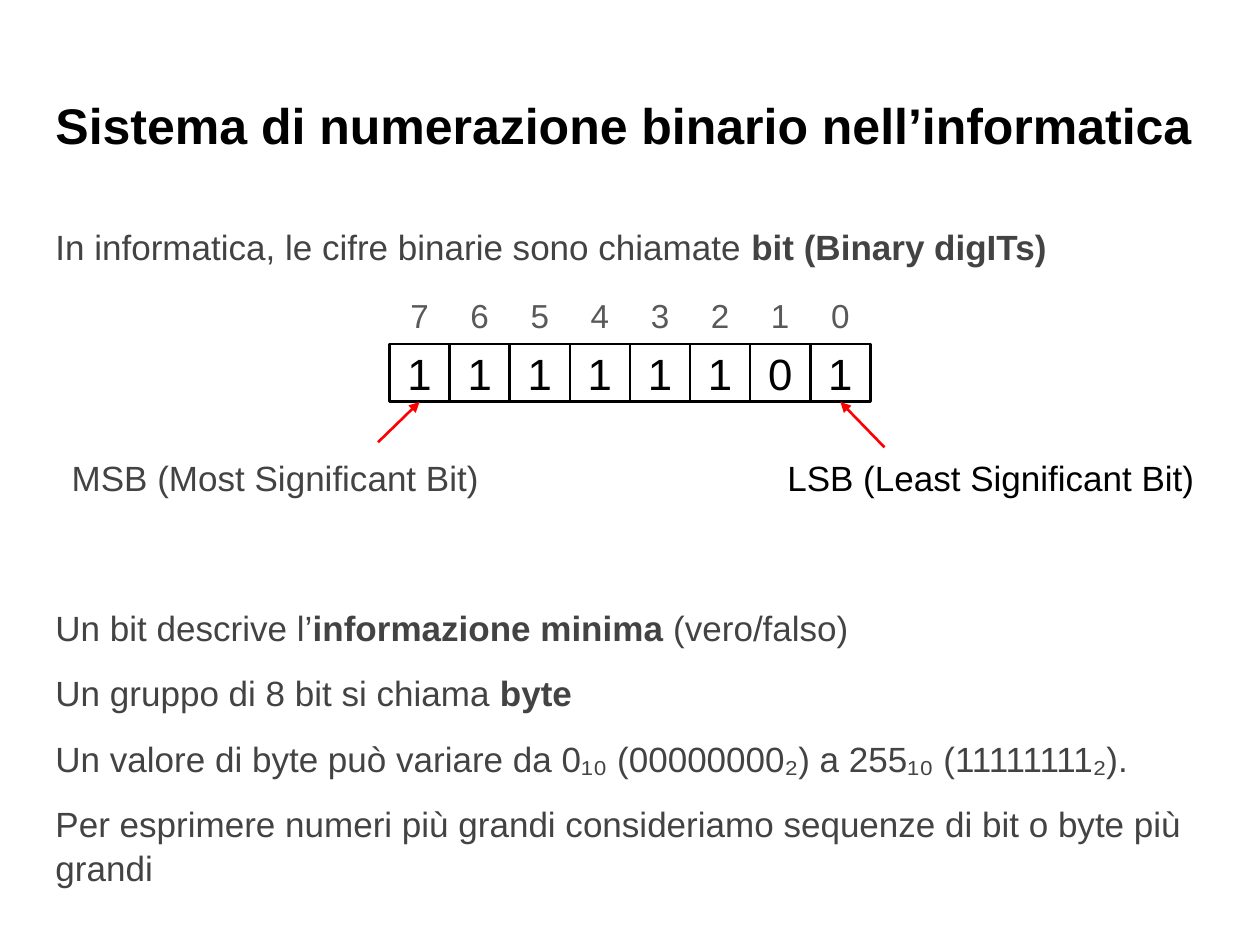
from lxml.etree import SubElement
from pptx import Presentation
from pptx.dml.color import RGBColor
from pptx.enum.shapes import MSO_CONNECTOR, MSO_SHAPE
from pptx.enum.text import MSO_ANCHOR, MSO_AUTO_SIZE, PP_ALIGN
from pptx.oxml.ns import qn
from pptx.util import Inches, Pt

# A paragraph is a list of (text, bold) spans.
TITLE = [[("Sistema di numerazione binario nell’informatica", True)]]
INTRO = [[("In informatica, le cifre binarie sono chiamate ", False),
          ("bit (Binary digITs)", True)]]
FACTS = [
    [("Un bit descrive l’", False), ("informazione minima", True), (" (vero/falso)", False)],
    [("Un gruppo di 8 bit si chiama ", False), ("byte", True)],
    [("Un valore di byte può variare da 0₁₀ (00000000₂) a 255₁₀ (11111111₂).", False)],
    [("Per esprimere numeri più grandi consideriamo sequenze di bit o byte più grandi", False)],
]
BITS = "11111101"
# label, left edge, colour, arrow start, arrow end
BIT_LABELS = [
    ("MSB (Most Significant Bit)", 0.41, "434343", (3, 3.51), (3.33, 3.19)),
    ("LSB (Least Significant Bit)", 6.09, "000000", (7.02, 3.55), (6.67, 3.19)),
]

MARGIN, TEXT_WIDTH = 0.34, 9.32
CELL_WIDTH, CELL_HEIGHT = 0.477, 0.46
INDEX_TOP, BIT_TOP = 2.27, 2.73
BLACK, DARK, GREY, RED = "000000", "434343", "595959", "FF0000"


def color(value):
    return RGBColor.from_string(value)


def place(shape, left, top, width, height):
    shape.left, shape.top = Inches(left), Inches(top)
    shape.width, shape.height = Inches(width), Inches(height)


def write(shape, paragraphs, size=20, fill=DARK, align=PP_ALIGN.LEFT,
          anchor=MSO_ANCHOR.TOP, spacing=1.0, before=0, after=0):
    frame = shape.text_frame
    frame.word_wrap = True
    frame.auto_size = MSO_AUTO_SIZE.NONE
    frame.vertical_anchor = anchor
    frame.margin_left = frame.margin_right = Inches(0.1)
    frame.margin_top = frame.margin_bottom = Inches(0.1)
    for number, spans in enumerate(paragraphs):
        para = frame.add_paragraph() if number else frame.paragraphs[0]
        para.alignment = align
        para.line_spacing = spacing
        para.space_before = Pt(before if number else 0)
        para.space_after = Pt(after)
        for text, bold in spans:
            span = para.add_run()
            span.text = text
            span.font.name = "Arial"
            span.font.size = Pt(size)
            span.font.bold = bold
            span.font.color.rgb = color(fill)


def remove_bullets(shape):
    for para in shape.text_frame.paragraphs:
        properties = para._p.get_or_add_pPr()
        properties.set("marL", "0")
        properties.set("indent", "0")
        SubElement(properties, qn("a:buNone"))


def add_label(slide, text, left, top, width, height, **text_format):
    box = slide.shapes.add_textbox(0, 0, 0, 0)
    place(box, left, top, width, height)
    write(box, [[(text, False)]], align=PP_ALIGN.CENTER, **text_format)


def add_bit(slide, text, left):
    cell = slide.shapes.add_shape(MSO_SHAPE.RECTANGLE, 0, 0, 0, 0)
    place(cell, left, BIT_TOP, CELL_WIDTH, CELL_HEIGHT)
    cell.shadow.inherit = False
    cell.fill.background()
    cell.line.color.rgb = color(BLACK)
    cell.line.width = Pt(1.5)
    write(cell, [[(text, False)]], size=25, fill=BLACK,
          align=PP_ALIGN.CENTER, anchor=MSO_ANCHOR.MIDDLE)


def add_arrow(slide, start, end):
    points = [Inches(value) for value in start + end]
    arrow = slide.shapes.add_connector(MSO_CONNECTOR.STRAIGHT, *points)
    arrow.line.color.rgb = color(RED)
    arrow.line.width = Pt(1.5)
    SubElement(arrow.line._get_or_add_ln(), qn("a:tailEnd"), type="triangle")
    SubElement(arrow._element.spPr, qn("a:effectLst"))


def main():
    deck = Presentation()
    deck.slide_width, deck.slide_height = Inches(10), Inches(7.5)
    slide = deck.slides.add_slide(deck.slide_layouts.get_by_name("Two Content"))
    title, intro, facts = list(slide.placeholders)[:3]
    for extra in list(slide.placeholders)[3:]:
        extra._element.getparent().remove(extra._element)

    place(title, MARGIN, 0.65, TEXT_WIDTH, 0.83)
    write(title, TITLE, size=28.6, fill=BLACK)
    place(intro, MARGIN, 1.64, TEXT_WIDTH, 0.63)
    write(intro, INTRO, spacing=1.15, after=12)
    place(facts, MARGIN, 4.7, TEXT_WIDTH, 2.52)
    write(facts, FACTS, spacing=1.05, before=12)
    for body in (intro, facts):
        remove_bullets(body)

    row_left = (10 - len(BITS) * CELL_WIDTH) / 2
    for column, bit in enumerate(BITS):
        left = row_left + column * CELL_WIDTH
        add_label(slide, str(len(BITS) - 1 - column), left, INDEX_TOP, CELL_WIDTH,
                  CELL_HEIGHT, size=19, fill=GREY, anchor=MSO_ANCHOR.MIDDLE)
        add_bit(slide, bit, left)

    for text, left, fill, start, end in BIT_LABELS:
        add_label(slide, text, left, 3.47, 3.55, 0.78, fill=fill, spacing=1.15, after=12)
        add_arrow(slide, start, end)

    deck.save("out.pptx")


if __name__ == "__main__":
    main()
